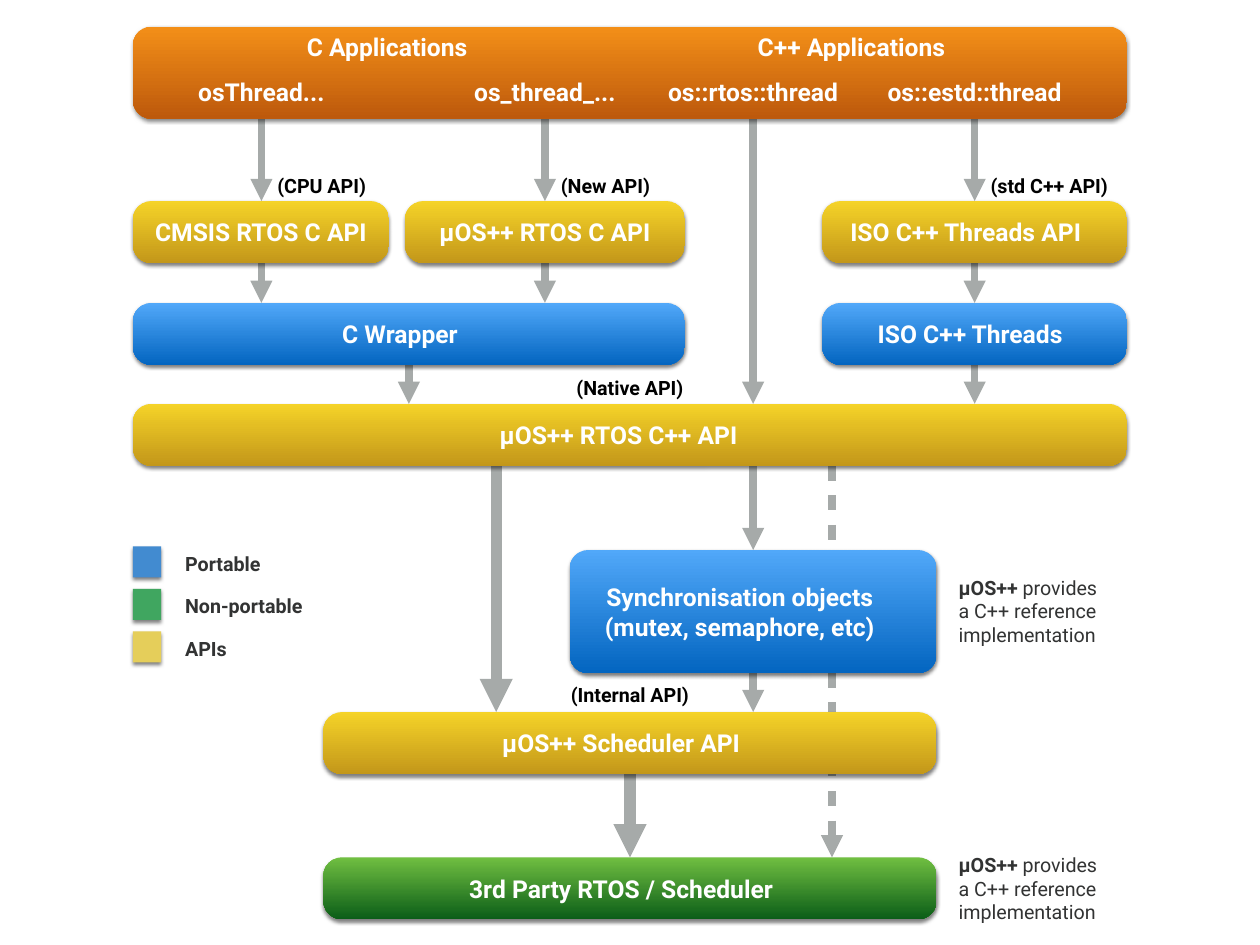
from dataclasses import dataclass

from lxml import etree
from pptx import Presentation
from pptx import util as u
from pptx.dml.color import RGBColor
from pptx.enum import shapes, text
from pptx.oxml import parse_xml
from pptx.oxml.ns import nsdecls, qn

WIDTH, HEIGHT = 14.22, 10.67
MIDDLE = WIDTH / 2
LEFT, RIGHT = 1.5, 12.72
CENTRE, START = text.PP_ALIGN.CENTER, text.PP_ALIGN.LEFT

# Vertical lanes followed by the calls
CMSIS, NEW, NATIVE, STD = 2.95, 6.15, 8.5, 11
DIRECT, BYPASS = 5.6, 9.39
LANE_LABEL = 0.12
LEGEND_TOP, LEGEND_PITCH = 6.17, 0.48
NOTE_LEFT = 10.76


@dataclass(frozen=True)
class Theme:
    font: str = "Roboto"
    box_size: int = 20
    label_size: int = 16
    inset: float = 0.06
    radius: float = 0.21
    light: str = "FFFFFF"
    black: str = "000000"
    dark: str = "323333"
    arrow: str = "A6AAA9"
    app: tuple = ("F38F18", "BD590C")
    api: tuple = ("F5D328", "C3971A")
    portable: tuple = ("51A8F9", "0365C0")
    non_portable: tuple = ("70BF41", "0B5D18")
    legend: tuple = (("Portable", "428BD0"), ("Non-portable", "40A660"),
                     ("APIs", "E5CE5A"))


@dataclass(frozen=True)
class Layer:
    """A box of the stack; lean moves its caption left of the centre."""
    lines: tuple
    colours: tuple
    left: float
    right: float
    top: float
    height: float = 0.7
    lean: float = 0.1

    @property
    def bottom(self):
        return self.top + self.height

    @property
    def centre(self):
        return (self.left + self.right) / 2


THEME = Theme()
APPS = Layer((), THEME.app, LEFT, RIGHT, 0.3, 1.04)
CMSIS_API = Layer(("CMSIS RTOS C API",), THEME.api, LEFT, 4.39, 2.27, lean=0)
C_API = Layer(("µOS++ RTOS C API",), THEME.api, 4.57, 7.73, 2.27, lean=0)
ISO_API = Layer(("ISO C++ Threads API",), THEME.api, 9.28, RIGHT, 2.27)
WRAPPER = Layer(("C Wrapper",), THEME.portable, LEFT, 7.73, 3.42)
ISO = Layer(("ISO C++ Threads",), THEME.portable, 9.28, RIGHT, 3.42, lean=0.05)
CPP_API = Layer(("µOS++ RTOS C++ API",), THEME.api, LEFT, RIGHT, 4.56, lean=0.13)
SYNC = Layer(("Synchronisation objects", "(mutex, semaphore, etc)"),
             THEME.portable, 6.43, 10.57, 6.21, 1.39, 0.15)
SCHEDULER_API = Layer(("µOS++ Scheduler API",), THEME.api, 3.65, 10.57, 8.04)
THIRD_PARTY = Layer(("3rd Party RTOS / Scheduler",), THEME.non_portable,
                    3.65, 10.57, 9.68)
LAYERS = (APPS, CMSIS_API, C_API, ISO_API, WRAPPER, ISO, CPP_API, SYNC,
          SCHEDULER_API, THIRD_PARTY)

# Lane, upper layer, lower layer, line width, dashed
CALLS = (
    (CMSIS, APPS, CMSIS_API, 6, False),
    (NEW, APPS, C_API, 6, False),
    (NATIVE, APPS, CPP_API, 6, False),
    (STD, APPS, ISO_API, 6, False),
    (CMSIS, CMSIS_API, WRAPPER, 6, False),
    (NEW, C_API, WRAPPER, 6, False),
    (STD, ISO_API, ISO, 6, False),
    (WRAPPER.centre, WRAPPER, CPP_API, 6, False),
    (STD, ISO, CPP_API, 6, False),
    (DIRECT, CPP_API, SCHEDULER_API, 9, False),
    (NATIVE, CPP_API, SYNC, 6, False),
    (BYPASS, CPP_API, THIRD_PARTY, 6, True),
    (NATIVE, SYNC, SCHEDULER_API, 6, False),
    (SCHEDULER_API.centre, SCHEDULER_API, THIRD_PARTY, 9, False),
)


def inches(*lengths):
    return [u.Inches(length) for length in lengths]


def write(frame, paragraphs, size, colour, align, lean=0):
    """Fill a text frame; each paragraph is a list of (words, bold) runs."""
    frame.vertical_anchor = text.MSO_ANCHOR.MIDDLE
    frame.margin_left = frame.margin_top = frame.margin_bottom = u.Inches(THEME.inset)
    frame.margin_right = u.Inches(THEME.inset + 2 * lean)
    for index, runs in enumerate(paragraphs):
        paragraph = frame.add_paragraph() if index else frame.paragraphs[0]
        paragraph.alignment = align
        for words, bold in runs:
            run = paragraph.add_run()
            run.text = words
            run.font.name = THEME.font
            run.font.size = u.Pt(size)
            run.font.bold = bold
            run.font.color.rgb = RGBColor.from_string(colour)


def add_label(slide, paragraphs, left, top, width, height=0.38,
              size=THEME.label_size, colour=THEME.black, align=START):
    box = slide.shapes.add_textbox(*inches(left, top, width, height))
    box.text_frame.word_wrap = True
    write(box.text_frame, paragraphs, size, colour, align)


def add_caption(slide, words, centre, top):
    """Put a white heading on the applications box."""
    width = 2.5
    add_label(slide, [[(words, True)]], centre - width / 2, top, width, 0.44,
              THEME.box_size, THEME.light, CENTRE)


def cast_shadow(shape):
    shape.line.fill.background()
    shape.shadow.inherit = False
    effects = shape._element.spPr.find(qn("a:effectLst"))
    effects.append(parse_xml(
        f'<a:outerShdw {nsdecls("a")} blurRad="{u.Pt(3)}" dist="{u.Pt(2)}" '
        'dir="5400000" rotWithShape="0"><a:srgbClr val="000000">'
        '<a:alpha val="50000"/></a:srgbClr></a:outerShdw>'))


def add_layer(slide, layer):
    box = slide.shapes.add_shape(
        shapes.MSO_SHAPE.ROUNDED_RECTANGLE,
        *inches(layer.left, layer.top, layer.right - layer.left, layer.height))
    box.adjustments[0] = THEME.radius / layer.height
    box.fill.gradient()
    box.fill.gradient_angle = 270
    for stop, position, colour in zip(box.fill.gradient_stops, (0, 1), layer.colours):
        stop.position = position
        stop.color.rgb = RGBColor.from_string(colour)
    cast_shadow(box)
    write(box.text_frame, [[(line, True)] for line in layer.lines],
          THEME.box_size, THEME.light, CENTRE, layer.lean)


def add_call(slide, lane, upper, lower, weight, dashed):
    arrow = slide.shapes.add_connector(
        shapes.MSO_CONNECTOR.STRAIGHT, *inches(lane, upper.bottom, lane, lower.top))
    arrow.line.color.rgb = RGBColor.from_string(THEME.arrow)
    arrow.line.width = u.Pt(weight)
    line = arrow.line._get_or_add_ln()
    if dashed:
        dashes = etree.SubElement(line, qn("a:custDash"))
        etree.SubElement(dashes, qn("a:ds"), d="200000", sp="200000")
    etree.SubElement(line, qn("a:tailEnd"), type="triangle")
    etree.SubElement(arrow._element.spPr, qn("a:effectLst"))


def add_legend(slide):
    for row, (meaning, colour) in enumerate(THEME.legend):
        top = LEGEND_TOP + row * LEGEND_PITCH
        swatch = slide.shapes.add_shape(
            shapes.MSO_SHAPE.RECTANGLE, *inches(LEFT, top, 0.32, 0.35))
        swatch.fill.solid()
        swatch.fill.fore_color.rgb = RGBColor.from_string(colour)
        cast_shadow(swatch)
        add_label(slide, [[(meaning, True)]], 2.03, top, 1.8, colour=THEME.dark)


def main():
    deck = Presentation()
    deck.slide_width, deck.slide_height = inches(WIDTH, HEIGHT)
    slide = deck.slides.add_slide(deck.slide_layouts[6])
    for call in CALLS:
        add_call(slide, *call)
    for layer in LAYERS:
        add_layer(slide, layer)
    for words, centre in (("C Applications", 4.37), ("C++ Applications", 9.61)):
        add_caption(slide, words, centre, 0.31)
    for words, lane in (("osThread...", CMSIS), ("os_thread_...", NEW),
                        ("os::rtos::thread", NATIVE), ("os::estd::thread", STD)):
        add_caption(slide, words, lane, 0.82)
    for words, lane in (("(CPU API)", CMSIS), ("(New API)", NEW), ("(std C++ API)", STD)):
        add_label(slide, [[(words, True)]], lane + LANE_LABEL, 1.91, 2.36)
    for words, top in (("(Native API)", 4.19), ("(Internal API)", 7.65)):
        add_label(slide, [[(words, True)]], MIDDLE - 1.2, top, 2.4, align=CENTRE)
    add_legend(slide)
    note = [[("µOS++", True), (" provides", False)],
            [("a C++ reference", False)], [("implementation", False)]]
    for top in (6.45, 9.58):
        add_label(slide, note, NOTE_LEFT, top, 1.8, 0.9, colour=THEME.dark)
    deck.save("out.pptx")


if __name__ == "__main__":
    main()
